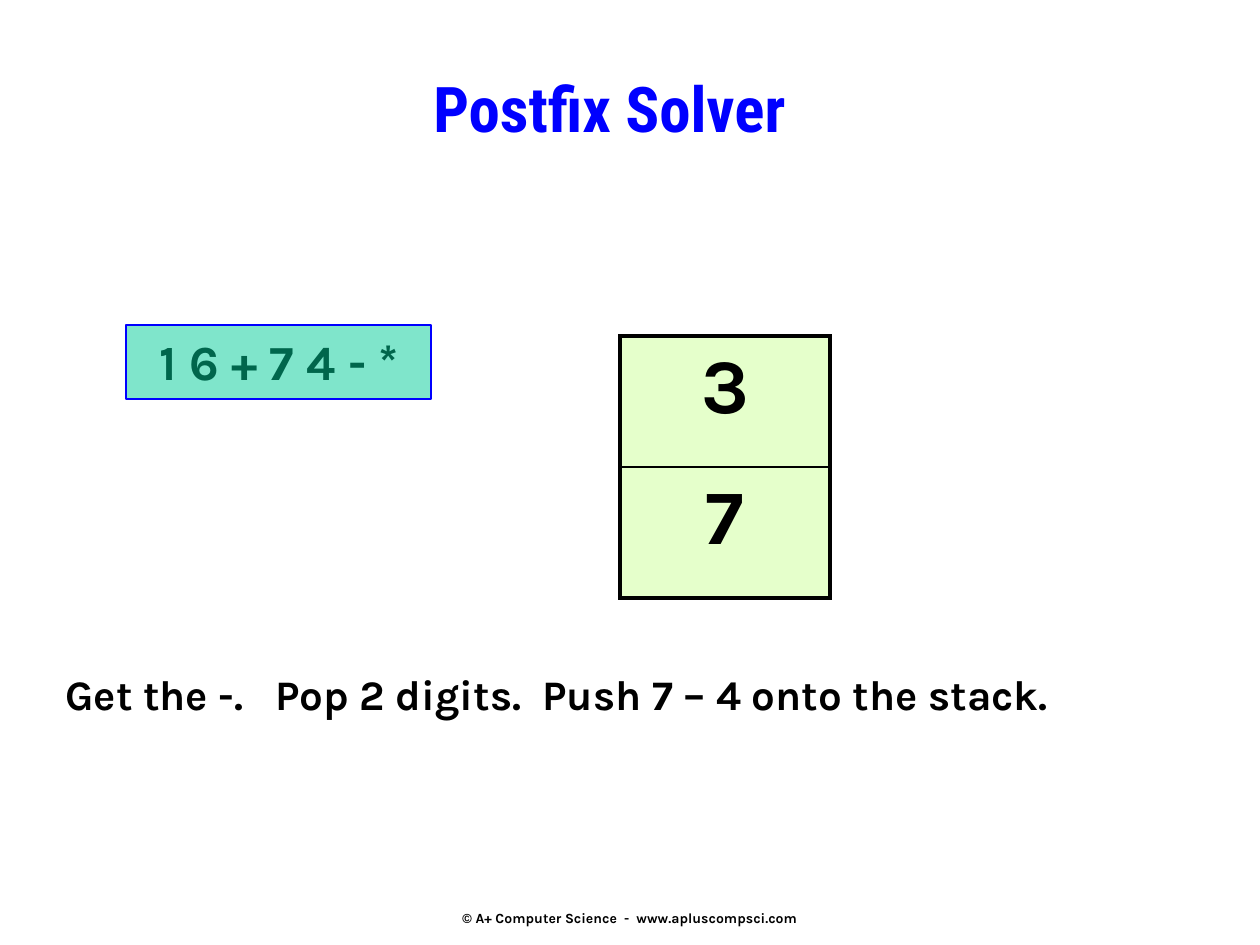
from dataclasses import dataclass

import lxml.etree
import pptx
import pptx.dml.color
import pptx.enum.shapes
import pptx.enum.text
import pptx.oxml.ns
import pptx.util

RGB = pptx.dml.color.RGBColor
ALIGN = pptx.enum.text.PP_ALIGN
ANCHOR = pptx.enum.text.MSO_ANCHOR
qn = pptx.oxml.ns.qn

BLACK = RGB(0x00, 0x00, 0x00)
BLUE = RGB(0x00, 0x00, 0xFF)
TEAL = RGB(0x00, 0xCC, 0x99)
LIME = RGB(0xCC, 0xFF, 0x99)
SCALE = 914400 / 126  # EMU in one px
THICK, THIN = 2.25, 1


@dataclass
class Label:
    text: str
    box: tuple[int, int, int, int]
    size: int
    align: ALIGN = ALIGN.LEFT
    anchor: ANCHOR = ANCHOR.TOP
    font: str = "Karla"
    color: RGB = BLACK
    wrap: bool = False


TITLE = Label("Postfix Solver", (158, 63, 903, 105), 36, ALIGN.CENTER,
              font="Roboto Condensed", color=BLUE)
LABELS = [
    Label("© A+ Computer Science  -  www.apluscompsci.com",
          (430, 899, 400, 38), 8, ALIGN.CENTER, ANCHOR.MIDDLE),
    Label("Get the -.   Pop 2 digits.  Push 7 – 4 onto the stack.",
          (53, 662, 1155, 63), 24, wrap=True),
    Label("1 6 + 7 4 - *", (147, 325, 330, 72), 28),
]
VEIL = (126, 325, 305, 74)
STACK = ["3", "7"]
STACK_BOX = (620, 336, 210, 262)


def px(num: float) -> int:
    return round(num * SCALE)


def style(frame, size: int, align: ALIGN, font: str, color: RGB) -> None:
    for para in frame.paragraphs:
        para.alignment = align
        for run in para.runs:
            run.font.size = pptx.util.Pt(size)
            run.font.name = font
            run.font.bold = True
            run.font.color.rgb = color


def write(shape, label: Label) -> None:
    shape.left, shape.top, shape.width, shape.height = map(px, label.box)
    frame = shape.text_frame
    frame.text = label.text
    frame.word_wrap = label.wrap
    frame.auto_size = pptx.enum.text.MSO_AUTO_SIZE.NONE
    frame.vertical_anchor = label.anchor
    style(frame, label.size, label.align, label.font, label.color)


def fade(props) -> None:
    """Make the solid fill of a shape or cell half transparent."""
    color = props.find(qn("a:solidFill")).find(qn("a:srgbClr"))
    lxml.etree.SubElement(color, qn("a:alpha"), val="50000")


def edge(props, side: str, width: float) -> None:
    """Draw one black border of a table cell."""
    line = lxml.etree.SubElement(props, qn(f"a:ln{side}"),
                                 w=str(pptx.util.Pt(width)))
    fill = lxml.etree.SubElement(line, qn("a:solidFill"))
    lxml.etree.SubElement(fill, qn("a:srgbClr"), val=str(BLACK))


def draw_veil(slide) -> None:
    """Lay a see-through box over the symbols already read."""
    veil = slide.shapes.add_shape(
        pptx.enum.shapes.MSO_SHAPE.RECTANGLE, *map(px, VEIL))
    veil.shadow.inherit = False
    veil.fill.solid()
    veil.fill.fore_color.rgb = TEAL
    fade(veil.fill._xPr)
    veil.line.color.rgb = BLUE
    veil.line.width = pptx.util.Pt(0.75)


def draw_stack(slide) -> None:
    table = slide.shapes.add_table(len(STACK), 1, *map(px, STACK_BOX)).table
    table.first_row = table.horz_banding = False
    last = len(STACK) - 1
    for row, text in enumerate(STACK):
        cell = table.cell(row, 0)
        cell.text_frame.text = text
        style(cell.text_frame, 44, ALIGN.CENTER, "Karla", BLACK)
        props = cell._tc.get_or_add_tcPr()
        edge(props, "L", THICK)
        edge(props, "R", THICK)
        edge(props, "T", THICK if row == 0 else THIN)
        edge(props, "B", THICK if row == last else THIN)
        cell.fill.solid()
        cell.fill.fore_color.rgb = LIME
        fade(props)


def main() -> None:
    deck = pptx.Presentation()
    deck.slide_width, deck.slide_height = px(1260), px(945)
    slide = deck.slides.add_slide(deck.slide_layouts[5])
    write(slide.shapes.title, TITLE)
    for label in LABELS:
        write(slide.shapes.add_textbox(*map(px, label.box)), label)
    draw_veil(slide)
    draw_stack(slide)
    deck.save("out.pptx")


if __name__ == "__main__":
    main()
